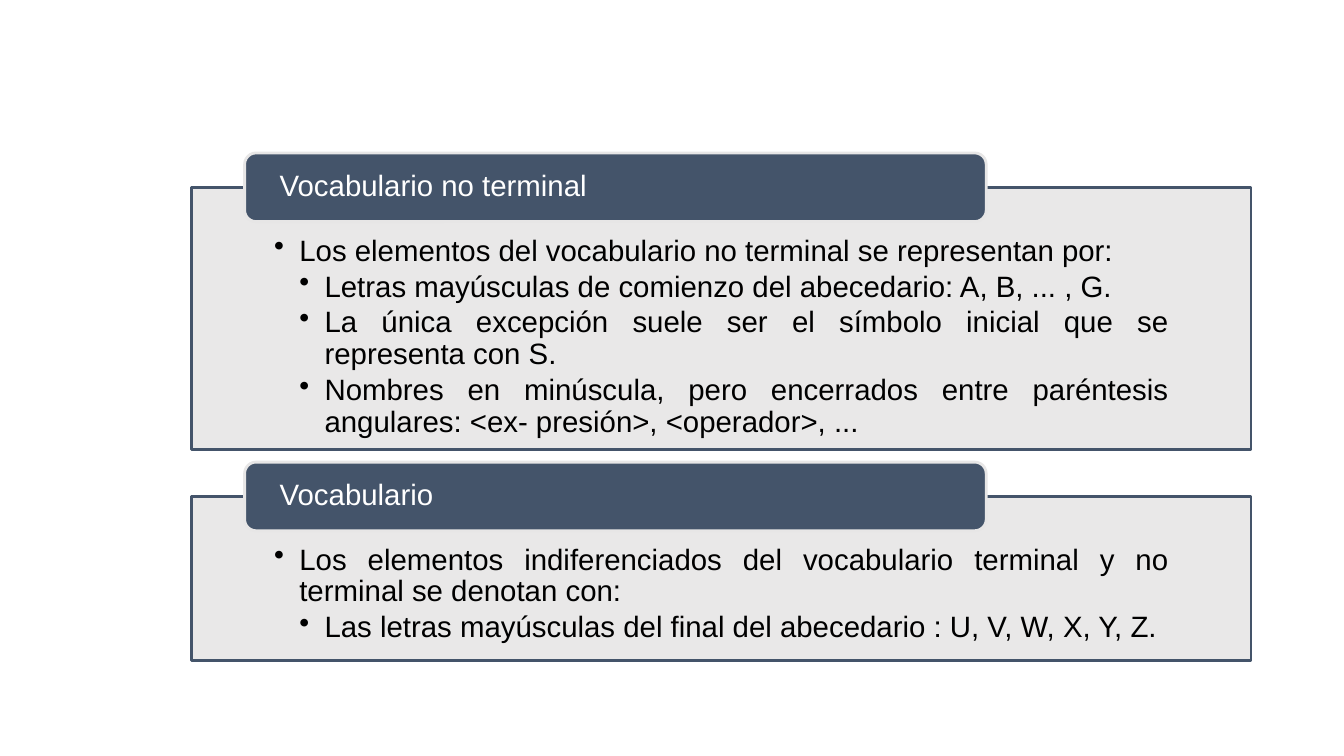
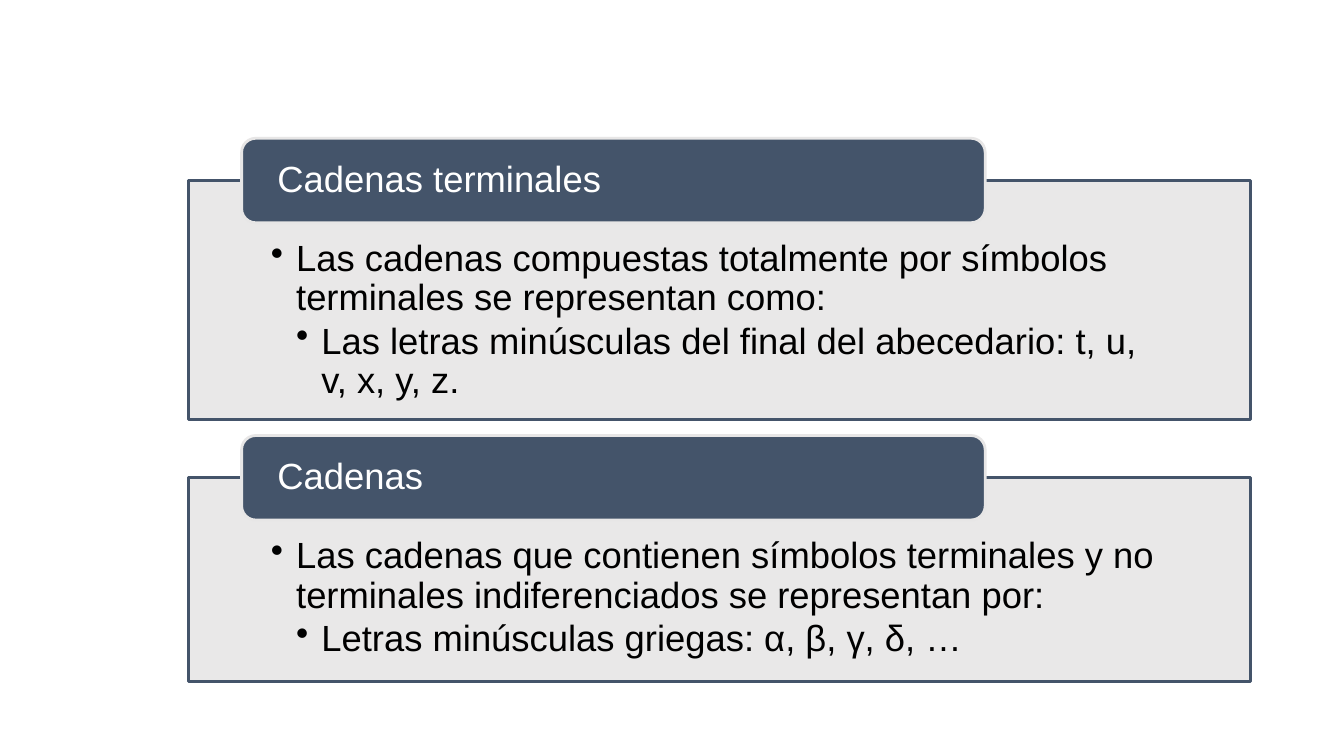
"""Build two slides of headed panels about notation for vocabularies and strings."""
from lxml.etree import SubElement
from pptx import Presentation
from pptx.dml.color import RGBColor
from pptx.enum.shapes import MSO_SHAPE
from pptx.enum.text import MSO_ANCHOR, PP_ALIGN
from pptx.oxml.ns import qn
from pptx.util import Cm, Pt

COLORS = {"navy": "44546A", "gray": "E7E6E6", "black": "000000", "white": "FFFFFF"}
INDENT = 0.635

SLIDES = [
    {
        "left": 4.83, "top": 4.72, "width": 26.7, "gap": 1.19, "tab_height": 1.73,
        "size": 21, "align": PP_ALIGN.JUSTIFY, "inset_top": 1.22, "inset_bottom": 0.41,
        "panels": [
            ("Vocabulario no terminal", 6.6, [
                (1, "Los elementos del vocabulario no terminal se representan por:"),
                (2, "Letras mayúsculas de comienzo del abecedario: A, B, ... , G."),
                (2, "La única excepción suele ser el símbolo inicial que se representa con S."),
                (2, "Nombres en minúscula, pero encerrados entre paréntesis angulares: "
                    "<ex- presión>, <operador>, ..."),
            ]),
            ("Vocabulario", 4.14, [
                (1, "Los elementos indiferenciados del vocabulario terminal y no terminal "
                    "se denotan con:"),
                (2, "Las letras mayúsculas del final del abecedario : U, V, W, X, Y, Z."),
            ]),
        ],
    },
    {
        "left": 4.75, "top": 4.55, "width": 26.77, "gap": 1.47, "tab_height": 2.13,
        "size": 26, "align": PP_ALIGN.LEFT, "inset_top": 1.5, "inset_bottom": 0.51,
        "panels": [
            ("Cadenas terminales", 6.02, [
                (1, "Las cadenas compuestas totalmente por símbolos terminales "
                    "se representan como:"),
                (2, "Las letras minúsculas del final del abecedario: t, u, v, x, y, z."),
            ]),
            ("Cadenas", 5.13, [
                (1, "Las cadenas que contienen símbolos terminales y no terminales "
                    "indiferenciados se representan por:"),
                (2, "Letras minúsculas griegas: α, β, γ, δ, …"),
            ]),
        ],
    },
]


def rgb(name):
    return RGBColor.from_string(COLORS[name])


def set_attributes(target, values):
    for name, value in values.items():
        setattr(target, name, value)


def add_box(slide, kind, place, fill, line, insets, anchor):
    shape = slide.shapes.add_shape(kind, *map(Cm, place))
    shape.shadow.inherit = False
    shape.fill.solid()
    shape.fill.fore_color.rgb = rgb(fill)
    shape.line.color.rgb = rgb(line)
    shape.line.width = Pt(2)
    sides = ("margin_left", "margin_top", "margin_right", "margin_bottom")
    set_attributes(shape.text_frame, dict(zip(sides, map(Cm, insets))))
    set_attributes(shape.text_frame, {"word_wrap": True, "vertical_anchor": anchor})
    return shape


def add_bullet(paragraph, level):
    properties = paragraph._p.get_or_add_pPr()
    properties.set("marL", str(Cm(INDENT * level)))
    properties.set("indent", str(-Cm(INDENT)))
    bullet_color = SubElement(properties, qn("a:buClr"))
    SubElement(bullet_color, qn("a:srgbClr"), val=COLORS["black"])
    SubElement(properties, qn("a:buChar"), char="•")
    paragraph.level = level


def write(paragraph, text, style, color, space_after):
    set_attributes(paragraph, {"alignment": style["align"], "line_spacing": 0.9,
                               "space_after": Pt(space_after)})
    run = paragraph.add_run()
    run.text = text
    set_attributes(run.font, {"name": "Arial", "size": Pt(style["size"])})
    run.font.color.rgb = rgb(color)


def add_panel(slide, style, top, heading, height, items):
    left, width, tab_height = style["left"], style["width"], style["tab_height"]
    body = add_box(slide, MSO_SHAPE.RECTANGLE, (left, top, width, height), "gray", "navy",
                   (2.08, style["inset_top"], 2.08, style["inset_bottom"]), MSO_ANCHOR.TOP)
    fill_color = body.fill._xPr.find(qn("a:solidFill"))[0]
    SubElement(fill_color, qn("a:alpha"), val="90000")
    frame = body.text_frame
    for index, (level, text) in enumerate(items):
        paragraph = frame.add_paragraph() if index else frame.paragraphs[0]
        add_bullet(paragraph, level)
        write(paragraph, text, style, "black", 3)

    place = (left + 0.05 * width, top - tab_height / 2, 0.7 * width, tab_height)
    tab = add_box(slide, MSO_SHAPE.ROUNDED_RECTANGLE, place, "navy", "gray",
                  (0.8, 0, 0.8, 0), MSO_ANCHOR.MIDDLE)
    write(tab.text_frame.paragraphs[0], heading, style, "white", 0)


def main():
    presentation = Presentation()
    set_attributes(presentation, {"slide_width": Cm(33.87), "slide_height": Cm(19.05)})
    for style in SLIDES:
        slide = presentation.slides.add_slide(presentation.slide_layouts[6])
        top = style["top"]
        for heading, height, items in style["panels"]:
            add_panel(slide, style, top, heading, height, items)
            top += height + style["gap"]
    presentation.save("out.pptx")


if __name__ == "__main__":
    main()
